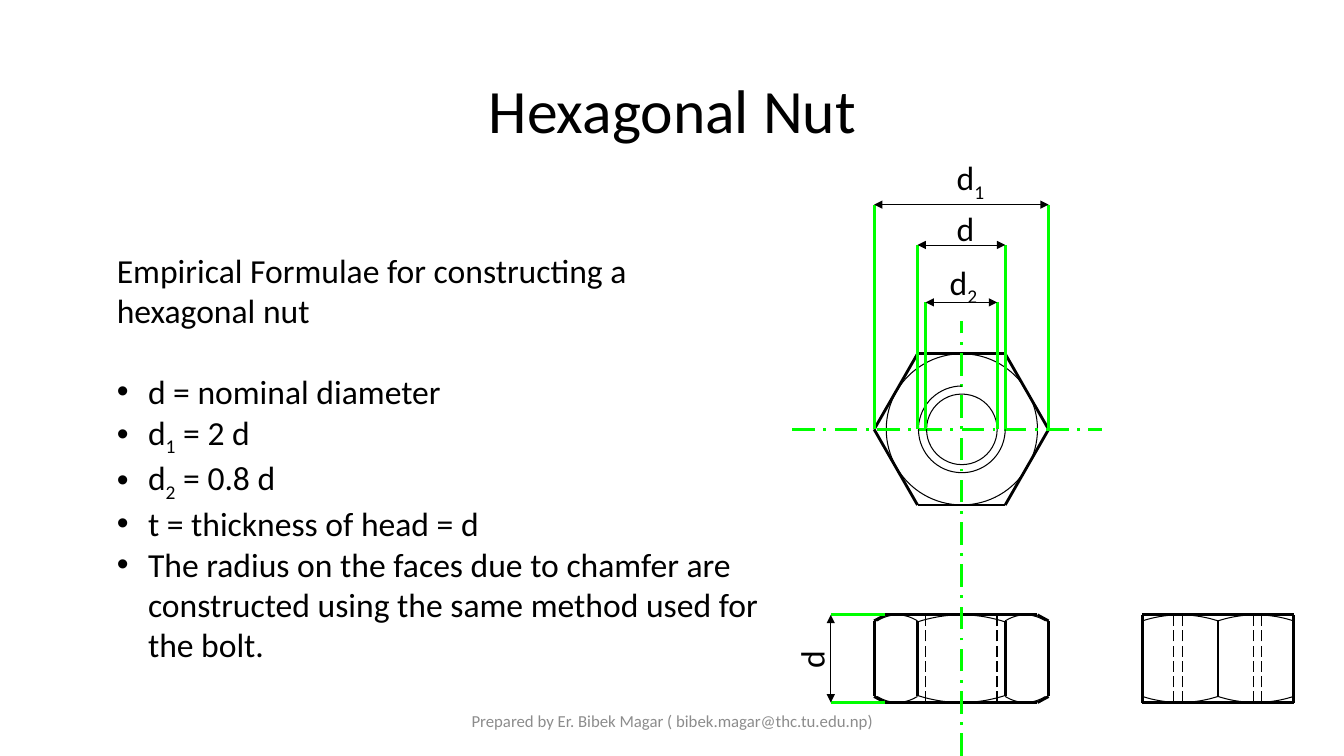
"""Builds a slide on the proportions and views of a hexagonal nut."""
import math

from lxml import etree
from pptx import Presentation
from pptx import util as u
from pptx.dml import color
from pptx.enum import dml, shapes, text
from pptx.oxml import ns


class NutSlide:
    """Holds the style and the current slide."""

    colours = {"ink": "000000", "guide": "00FF00", "footer": "8C8C8C"}
    font = "Calibri"
    hidden = dml.MSO_LINE.LONG_DASH
    centre = dml.MSO_LINE.LONG_DASH_DOT

    def __init__(self, presentation):
        """Adds a blank slide."""
        self.slide = presentation.slides.add_slide(presentation.slide_layouts[6])

    def apply(self, target, values):
        """Sets each named value on the target."""
        for name, value in values.items():
            setattr(target, name, value)

    def rgb(self, name):
        """Looks up a named colour."""
        return color.RGBColor.from_string(self.colours[name])

    def outline(self, shape, colour="ink", width=0, dash=None):
        """Styles the line of a shape."""
        shape.line.color.rgb = self.rgb(colour)
        self.apply(shape.line, {"width": u.Pt(width), "dash_style": dash})

    def hollow(self, shape):
        """Gives a shape a thin outline and no fill."""
        shape.shadow.inherit = False
        shape.fill.background()
        self.outline(shape)

    def line(self, start, end, colour="ink", width=0, dash=None, arrows=False):
        """Draws a straight line between two points."""
        connector = self.slide.shapes.add_connector(
            shapes.MSO_CONNECTOR.STRAIGHT, *map(u.Inches, (*start, *end)))
        self.outline(connector, colour, width, dash)
        if arrows:
            for tag in ("a:headEnd", "a:tailEnd"):
                etree.SubElement(connector.line._get_or_add_ln(), ns.qn(tag), type="triangle")
        etree.SubElement(connector._element.spPr, ns.qn("a:effectLst"))

    def circle(self, x, y, radius):
        """Draws a circle around a centre."""
        box = map(u.Inches, (x - radius, y - radius, 2 * radius, 2 * radius))
        self.hollow(self.slide.shapes.add_shape(shapes.MSO_SHAPE.OVAL, *box))

    def curve(self, points):
        """Draws an open outline through points."""
        first, *rest = [(u.Inches(x), u.Inches(y)) for x, y in points]
        builder = self.slide.shapes.build_freeform(*first, scale=1.0)
        builder.add_line_segments(rest, close=False)
        self.hollow(builder.convert_to_shape())

    def arc(self, x, y, radius, start, end, steps=50):
        """Draws part of a circle between two angles in degrees."""
        angles = [math.radians(start + (end - start) * i / steps) for i in range(steps + 1)]
        self.curve([(x + radius * math.cos(a), y + radius * math.sin(a)) for a in angles])

    def chamfer(self, left, right, edge, peak, steps=18):
        """Draws the shallow chamfer curve of one face."""
        self.curve([(left + (right - left) * i / steps,
                     peak + (edge - peak) * (2 * i / steps - 1) ** 2)
                    for i in range(steps + 1)])

    def text(self, box, paragraphs, size=24, colour="ink", frame=None, layout=None, rotation=0):
        """Writes paragraphs of (text, is_subscript) runs, with optional bullets."""
        shape = self.slide.shapes.add_textbox(*map(u.Inches, box))
        shape.rotation = rotation
        self.apply(shape.text_frame, {"word_wrap": True, **(frame or {})})
        for i, (runs, bullet, gap) in enumerate(paragraphs):
            paragraph = shape.text_frame.paragraphs[0] if i == 0 else shape.text_frame.add_paragraph()
            self.apply(paragraph, {"space_before": u.Pt(gap), **(layout or {})})
            if bullet:
                properties = paragraph._p.get_or_add_pPr()
                properties.set("marL", str(u.Inches(0.31)))
                properties.set("indent", str(u.Inches(-0.31)))
                etree.SubElement(properties, ns.qn("a:buFont"), typeface="Arial")
                etree.SubElement(properties, ns.qn("a:buChar"), char="•")
            for words, subscript in runs:
                run = paragraph.add_run()
                run.text = words
                self.apply(run.font, {"name": self.font, "size": u.Pt(size)})
                run.font.color.rgb = self.rgb(colour)
                if subscript:
                    run._r.get_or_add_rPr().set("baseline", "-25000")


def plain(words):
    """Wraps words as one ordinary run."""
    return [(words, False)]


def main():
    """Builds and saves the slide."""
    presentation = Presentation()
    presentation.slide_width = u.Inches(13.33)
    presentation.slide_height = u.Inches(7.5)
    nut = NutSlide(presentation)

    centred = {"alignment": text.PP_ALIGN.CENTER}
    middle = {"vertical_anchor": text.MSO_ANCHOR.MIDDLE}
    grow = {"auto_size": text.MSO_AUTO_SIZE.SHAPE_TO_FIT_TEXT}
    nut.text((0.92, 0.4, 11.5, 1.45), [(plain("Hexagonal Nut"), False, 0)], 44,
             frame=middle, layout={**centred, "line_spacing": 0.9})
    nut.text((4.42, 6.95, 4.5, 0.4),
             [(plain("Prepared by Er. Bibek Magar ( bibek.magar@thc.tu.edu.np)"), False, 0)],
             12, "footer", middle, centred)
    nut.text((1.06, 2.43, 6.69, 4.14), [
        (plain("Empirical Formulae for constructing a hexagonal nut"), False, 0),
        (plain("d = nominal diameter"), True, 29),
        ([("d", False), ("1", True), (" = 2 d", False)], True, 0),
        ([("d", False), ("2", True), (" = 0.8 d", False)], True, 0),
        (plain("t = thickness of head = d"), True, 0),
        (plain("The radius on the faces due to chamfer are constructed using "
               "the same method used for the bolt."), True, 0)], frame=grow)

    centre_x, centre_y = 9.54, 4.26
    corners_x = left, inner_left, inner_right, right = 8.67, 9.1, 9.97, 10.4
    flat_top, flat_bottom = 3.51, 5.01
    top, bottom = 6.1, 6.97
    bore_left, bore_right = 9.18, 9.89
    face_left, face_right = 8.78, 10.29
    thread_radius, bore_radius, chamfer_radius = 0.43, 0.35, 0.75

    hexagon = [(left, centre_y), (inner_left, flat_top), (inner_right, flat_top),
               (right, centre_y), (inner_right, flat_bottom), (inner_left, flat_bottom)]
    for start, end in zip(hexagon, hexagon[1:] + hexagon[:1]):
        nut.line(start, end)
    nut.circle(centre_x, centre_y, chamfer_radius)

    side_left, side_middle, side_right = 11.33, 12.08, 12.83
    for peak, inward in ((top, 1), (bottom, -1)):
        corner = peak + 0.06 * inward
        nut.line((left, corner), (face_left, peak))
        nut.line((right, corner), (face_right, peak))
        nut.line((face_left, peak), (face_right, peak))
        nut.line((side_left, peak), (side_right, peak))
        for start, end, depth in ((8.7, inner_left, 0.06), (inner_left, inner_right, 0.07),
                                  (inner_right, 10.37, 0.06), (side_left, side_middle, 0.06),
                                  (side_middle, side_right, 0.06)):
            nut.chamfer(start, end, peak + depth * inward, peak)
    for x in corners_x:
        nut.line((x, 6.9), (x, 6.16))
    nut.line((side_middle, 6.15), (side_middle, 6.91))
    for x in (side_left, side_right):
        nut.line((x, bottom), (x, top))
    for x in (bore_left, bore_right, 11.64, 11.73, 12.43, 12.51):
        nut.line((x, bottom), (x, top), width=1, dash=nut.hidden)

    nut.line((centre_x, 7.5), (centre_x, 3.18), "guide", dash=nut.centre)
    nut.line((7.86, centre_y), (10.93, centre_y), "guide", dash=nut.centre)
    nut.arc(centre_x, centre_y, thread_radius, 270, 0)
    nut.circle(centre_x, centre_y, bore_radius)

    dimension_x = 8.24
    widths = ((left, right, 2.03), (inner_left, inner_right, 2.43), (bore_left, bore_right, 3))
    for start, end, y in widths:
        for x in (start, end):
            nut.line((x, centre_y), (x, y), "guide")
        nut.line((start, y), (end, y), width=0.5, arrows=True)
    for y in (top, bottom):
        nut.line((face_left, y), (dimension_x, y), "guide")
    nut.line((dimension_x, bottom), (dimension_x, top), width=0.5, arrows=True)

    for x, y, index, rotation in ((9.39, 1.51, "1", 0), (9.32, 2.55, "2", 0),
                                  (9.39, 2.01, "", 0), (7.8, 6.23, "", 270)):
        runs = plain("d") + ([(index, True)] if index else [])
        nut.text((x, y, 0.49, 0.5), [(runs, False, 0)], frame=grow, rotation=rotation)

    presentation.save("out.pptx")


if __name__ == "__main__":
    main()
